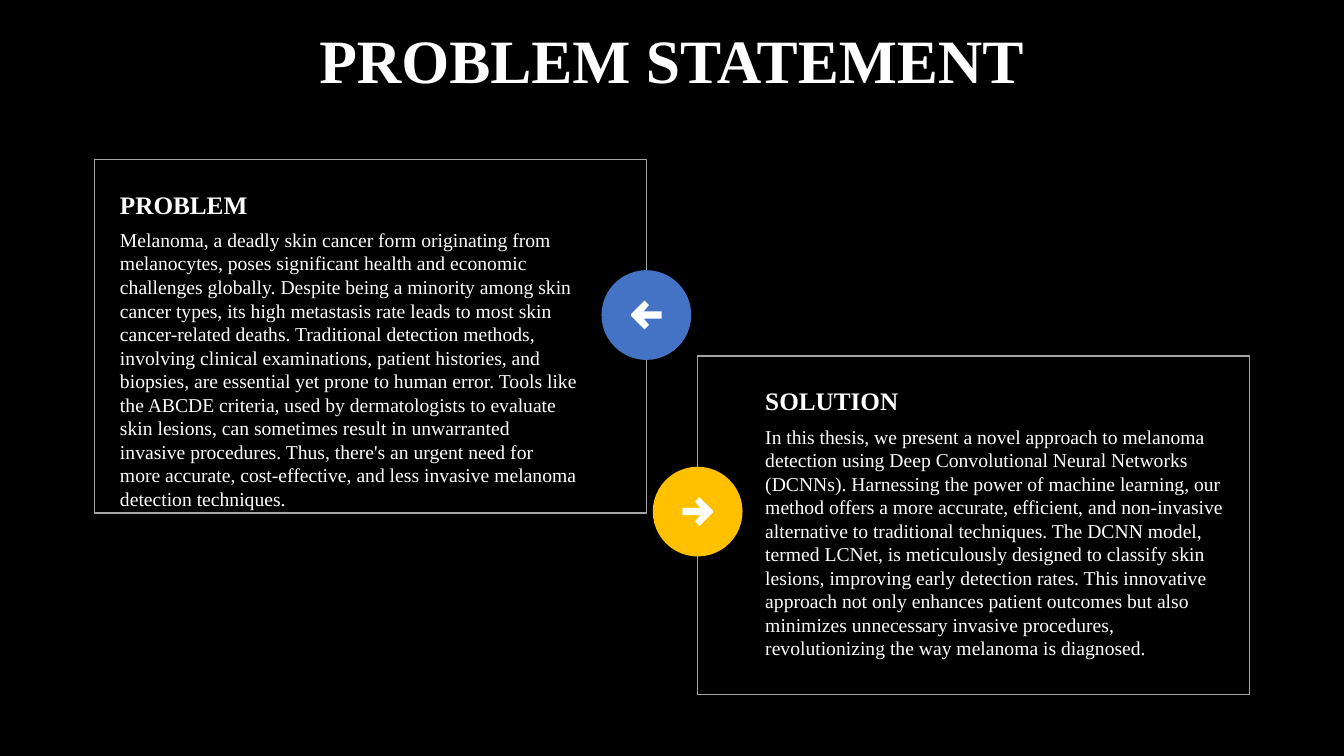
from dataclasses import dataclass

from pptx import Presentation
from pptx.dml.color import RGBColor
from pptx.enum.shapes import MSO_SHAPE
from pptx.enum.text import MSO_ANCHOR, MSO_AUTO_SIZE, PP_ALIGN
from pptx.shapes.autoshape import Shape
from pptx.slide import Slide
from pptx.text.text import TextFrame
from pptx.util import Inches, Pt

RECTANGLE, OVAL = MSO_SHAPE.RECTANGLE, MSO_SHAPE.OVAL
TOP, CENTER = MSO_ANCHOR.TOP, PP_ALIGN.CENTER
NO_AUTOFIT, GROW = MSO_AUTO_SIZE.NONE, MSO_AUTO_SIZE.SHAPE_TO_FIT_TEXT
TITLE_ONLY = 5

SLIDE_WIDTH, SLIDE_HEIGHT = Inches(13.33), Inches(7.5)
GRID = 100  # columns across and rows down the slide


@dataclass(frozen=True)
class Theme:
    font: str = "Times New Roman"
    background: RGBColor = RGBColor(0x00, 0x00, 0x00)
    text: RGBColor = RGBColor(0xFF, 0xFF, 0xFF)
    outline: RGBColor = RGBColor(0xA6, 0xA6, 0xA6)
    blue: RGBColor = RGBColor(0x44, 0x72, 0xC4)
    gold: RGBColor = RGBColor(0xFF, 0xC0, 0x00)
    title_size: int = 44
    heading_size: int = 18
    body_size: int = 14


THEME = Theme()


@dataclass(frozen=True)
class Panel:
    """A framed text with a round marker on one side edge; lengths in columns and rows."""
    heading: str
    body: str
    left: float
    top: float
    height: float
    text_indent: float
    body_height: float
    marker_column: float
    marker_color: RGBColor
    arrow_direction: int


MARGIN = 7.05
PANEL_WIDTH = 41.04
TEXT_WIDTH = 34.13
HEADING_DROP, HEADING_HEIGHT = 3.96, 4
BODY_DROP = 9.07
MARKER_DROP = 20.6
MARKER_DIAMETER = Inches(0.89)
# Right-pointing arrow, upper half from tail to tip, in shares of the marker's diameter
ARROW_UPPER_HALF = [(-0.17, -0.04), (0.03, -0.04), (-0.03, -0.11), (0.02, -0.16), (0.17, -0.01)]
SOLUTION_LEFT = GRID - MARGIN - PANEL_WIDTH

PANELS = [
    Panel(
        "SOLUTION",
        "In this thesis, we present a novel approach to melanoma detection using Deep "
        "Convolutional Neural Networks (DCNNs). Harnessing the power of machine learning, "
        "our method offers a more accurate, efficient, and non-invasive alternative to "
        "traditional techniques. The DCNN model, termed LCNet, is meticulously designed to "
        "classify skin lesions, improving early detection rates. This innovative approach "
        "not only enhances patient outcomes but also minimizes unnecessary invasive "
        "procedures, revolutionizing the way melanoma is diagnosed.",
        left=SOLUTION_LEFT, top=47.07, height=44.8, text_indent=5.03, body_height=31.47,
        marker_column=SOLUTION_LEFT, marker_color=THEME.gold, arrow_direction=1,
    ),
    Panel(
        "PROBLEM",
        "Melanoma, a deadly skin cancer form originating from melanocytes, poses significant "
        "health and economic challenges globally. Despite being a minority among skin cancer "
        "types, its high metastasis rate leads to most skin cancer-related deaths. Traditional "
        "detection methods, involving clinical examinations, patient histories, and biopsies, "
        "are essential yet prone to human error. Tools like the ABCDE criteria, used by "
        "dermatologists to evaluate skin lesions, can sometimes result in unwarranted invasive "
        "procedures. Thus, there's an urgent need for more accurate, cost-effective, and less "
        "invasive melanoma detection techniques.",
        left=MARGIN, top=21.07, height=46.8, text_indent=1.88, body_height=37.73,
        marker_column=MARGIN + PANEL_WIDTH, marker_color=THEME.blue, arrow_direction=-1,
    ),
]


def columns(count: float) -> int:
    return round(SLIDE_WIDTH * count / GRID)


def rows(count: float) -> int:
    return round(SLIDE_HEIGHT * count / GRID)


def write(frame: TextFrame, words: str, size: int, bold: bool) -> None:
    frame.text = words
    frame.word_wrap = True
    frame.vertical_anchor = TOP
    font = frame.paragraphs[0].runs[0].font
    font.name, font.size, font.bold = THEME.font, Pt(size), bold
    font.color.rgb = THEME.text


def fill_plain(shape: Shape, color: RGBColor) -> None:
    shape.shadow.inherit = False
    shape.fill.solid()
    shape.fill.fore_color.rgb = color
    shape.line.fill.background()


def add_title(slide: Slide, words: str) -> None:
    title = slide.shapes.title
    title.left, title.top = columns(5.48), rows(3.33)
    title.width, title.height = columns(89.05), rows(7.2)
    write(title.text_frame, words, THEME.title_size, True)
    title.text_frame.auto_size = NO_AUTOFIT
    paragraph = title.text_frame.paragraphs[0]
    paragraph.alignment = CENTER
    paragraph.line_spacing = 0.9


def add_frame(slide: Slide, panel: Panel) -> None:
    frame = slide.shapes.add_shape(
        RECTANGLE, columns(panel.left), rows(panel.top), columns(PANEL_WIDTH), rows(panel.height))
    frame.shadow.inherit = False
    frame.fill.background()
    frame.line.color.rgb = THEME.outline
    frame.line.width = Pt(1)


def add_marker(slide: Slide, panel: Panel) -> None:
    """Draw the disc and its arrow, centred on the panel's edge."""
    center_x, center_y = columns(panel.marker_column), rows(panel.top + MARKER_DROP)
    radius = MARKER_DIAMETER // 2
    disc = slide.shapes.add_shape(
        OVAL, center_x - radius, center_y - radius, MARKER_DIAMETER, MARKER_DIAMETER)
    fill_plain(disc, panel.marker_color)

    lower_half = [(x, -y) for x, y in reversed(ARROW_UPPER_HALF)]
    corners = [
        (round(center_x + panel.arrow_direction * x * MARKER_DIAMETER),
         round(center_y + y * MARKER_DIAMETER))
        for x, y in ARROW_UPPER_HALF + lower_half
    ]
    outline = slide.shapes.build_freeform(*corners[0])
    outline.add_line_segments(corners[1:], close=True)
    fill_plain(outline.convert_to_shape(), THEME.text)


def add_text(slide: Slide, panel: Panel, words: str, drop: float, height: float,
             size: int, bold: bool) -> None:
    box = slide.shapes.add_textbox(
        columns(panel.left + panel.text_indent), rows(panel.top + drop),
        columns(TEXT_WIDTH), rows(height))
    frame = box.text_frame
    frame.margin_left = frame.margin_right = frame.margin_top = frame.margin_bottom = 0
    write(frame, words, size, bold)
    frame.auto_size = GROW


def main() -> None:
    deck = Presentation()
    deck.slide_width, deck.slide_height = SLIDE_WIDTH, SLIDE_HEIGHT
    slide = deck.slides.add_slide(deck.slide_layouts[TITLE_ONLY])
    slide.background.fill.solid()
    slide.background.fill.fore_color.rgb = THEME.background

    add_title(slide, "PROBLEM STATEMENT")
    for panel in PANELS:
        add_frame(slide, panel)
        add_marker(slide, panel)
        add_text(slide, panel, panel.body, BODY_DROP, panel.body_height, THEME.body_size, False)
        add_text(slide, panel, panel.heading, HEADING_DROP, HEADING_HEIGHT,
                 THEME.heading_size, True)
    deck.save("out.pptx")


if __name__ == "__main__":
    main()
